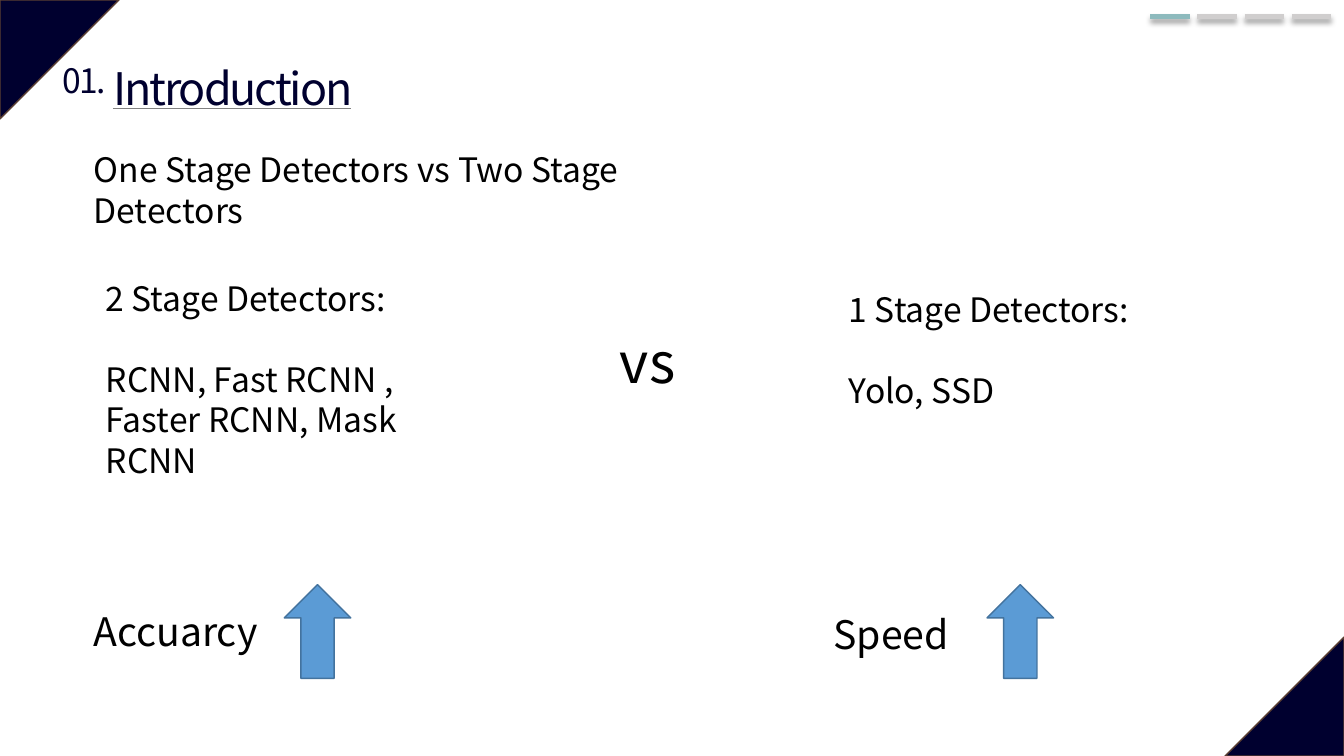
from dataclasses import dataclass

from lxml import etree
from pptx import Presentation
from pptx.dml.color import RGBColor
from pptx.enum.shapes import MSO_CONNECTOR as Connector, MSO_SHAPE as Preset
from pptx.enum.text import MSO_ANCHOR as Anchor, MSO_AUTO_SIZE as AutoSize, PP_ALIGN as Align
from pptx.oxml.ns import qn
from pptx.shapes.base import BaseShape
from pptx.slide import Slide
from pptx.util import Inches, Pt

NAVY = RGBColor(0x00, 0x00, 0x2F)
BROWN = RGBColor(0x5B, 0x3F, 0x33)
GRAY = RGBColor(0x80, 0x80, 0x80)
TEAL = RGBColor(0x8D, 0xBA, 0xBD)
LIGHT_GRAY = RGBColor(0xD0, 0xCE, 0xCE)
BLUE = RGBColor(0x5B, 0x9B, 0xD5)
DARK_BLUE = RGBColor(0x43, 0x73, 0x9E)
BLACK = RGBColor(0x00, 0x00, 0x00)
FONT = "Noto Sans CJK KR"
LINE_HEIGHT = 1.2


@dataclass
class Label:
    paragraphs: list[str]
    left: float
    top: float
    width: float
    height: float
    size: int


@dataclass
class Block:
    preset: Preset
    left: float
    top: float
    width: float
    height: float
    fill: RGBColor
    outline: RGBColor
    rotation: int = 0


HEADING = Label(["Introduction"], 0.95, 0.55, 2.72, 0.64, 32)
NUMBER = Label(["01."], 0.5, 0.55, 0.67, 0.5, 24)

LABELS = [
    Label(["2 Stage Detectors:", "RCNN, Fast RCNN , Faster RCNN, Mask RCNN"],
          0.95, 2.71, 3.75, 2.12, 24),
    Label(["vs"], 6.05, 3.2, 3.02, 0.77, 40),
    Label(["1 Stage Detectors:", "Yolo, SSD"], 8.32, 2.82, 3.75, 1.31, 24),
    Label(["Speed"], 8.17, 6.01, 3.57, 0.57, 28),
    Label(["Accuarcy"], 0.83, 5.98, 3.57, 0.57, 28),
    Label(["One Stage Detectors vs Two Stage Detectors"], 0.83, 1.43, 5.68, 0.91, 24),
]

CORNERS = [
    Block(Preset.ISOSCELES_TRIANGLE, 0, 0, 1.18, 1.18, NAVY, BROWN, 90),
    Block(Preset.ISOSCELES_TRIANGLE, 12.15, 6.32, 1.18, 1.18, NAVY, BROWN, 270),
]
ARROWS = [Block(Preset.UP_ARROW, left, 5.8, 0.66, 0.93, BLUE, DARK_BLUE)
          for left in (2.82, 9.79)]


def write_label(shape: BaseShape, label: Label, color: RGBColor, align: Align,
                wrap: bool = True, tracking: float = 0) -> None:
    shape.left, shape.top = Inches(label.left), Inches(label.top)
    shape.width, shape.height = Inches(label.width), Inches(label.height)
    frame = shape.text_frame
    frame.text = "\n".join(label.paragraphs)
    frame.word_wrap = wrap
    frame.auto_size = AutoSize.SHAPE_TO_FIT_TEXT
    frame.vertical_anchor = Anchor.TOP
    for index, paragraph in enumerate(frame.paragraphs):
        paragraph.alignment = align
        if index:
            paragraph.space_before = Pt(label.size * LINE_HEIGHT)
        paragraph.font.name = FONT
        paragraph.font.size = Pt(label.size)
        paragraph.font.color.rgb = color
        if tracking:
            for run in paragraph.runs:
                run._r.get_or_add_rPr().set("spc", str(round(tracking * 100)))


def add_label(slide: Slide, label: Label, color: RGBColor = BLACK,
              align: Align = Align.LEFT, wrap: bool = True, tracking: float = 0) -> None:
    box = slide.shapes.add_textbox(0, 0, 0, 0)
    write_label(box, label, color, align, wrap, tracking)


def add_block(slide: Slide, block: Block) -> BaseShape:
    shape = slide.shapes.add_shape(block.preset, Inches(block.left), Inches(block.top),
                                   Inches(block.width), Inches(block.height))
    shape.shadow.inherit = False
    shape.rotation = block.rotation
    shape.fill.solid()
    shape.fill.fore_color.rgb = block.fill
    shape.line.color.rgb = block.outline
    shape.line.width = Pt(1)
    return shape


def add_rule(slide: Slide, left: float, right: float, top: float, color: RGBColor,
             width: float, shadow: bool = False) -> None:
    line = slide.shapes.add_connector(Connector.STRAIGHT, Inches(left), Inches(top),
                                      Inches(right), Inches(top))
    line.line.color.rgb = color
    line.line.width = Pt(width)
    effects = etree.SubElement(line._element.spPr, qn("a:effectLst"))
    if shadow:
        outer = etree.SubElement(effects, qn("a:outerShdw"), blurRad=str(Pt(4)),
                                 dist=str(Pt(3)), dir="5400000", algn="t", rotWithShape="0")
        black = etree.SubElement(outer, qn("a:srgbClr"), val="000000")
        etree.SubElement(black, qn("a:alpha"), val="40000")


def main() -> None:
    presentation = Presentation()
    presentation.slide_width, presentation.slide_height = Inches(13.33), Inches(7.5)
    slide = presentation.slides.add_slide(presentation.slide_layouts[5])

    # Corner triangles
    for corner in CORNERS:
        add_block(slide, corner).adjustments[0] = 0

    # Numbered, underlined title
    add_rule(slide, 1.12, 3.48, 1.08, GRAY, 0.5)
    write_label(slide.shapes.title, HEADING, NAVY, Align.CENTER, wrap=False, tracking=-1.5)
    add_label(slide, NUMBER, NAVY, Align.CENTER, wrap=False, tracking=-1.5)

    # Progress marks, the first one active
    for step in range(4):
        left = 11.41 + 0.467 * step
        add_rule(slide, left, left + 0.39, 0.16, LIGHT_GRAY if step else TEAL, 3.5, shadow=True)

    # Comparison of detectors
    for label in LABELS:
        add_label(slide, label)
    for arrow in ARROWS:
        add_block(slide, arrow)

    presentation.save("out.pptx")


if __name__ == "__main__":
    main()
